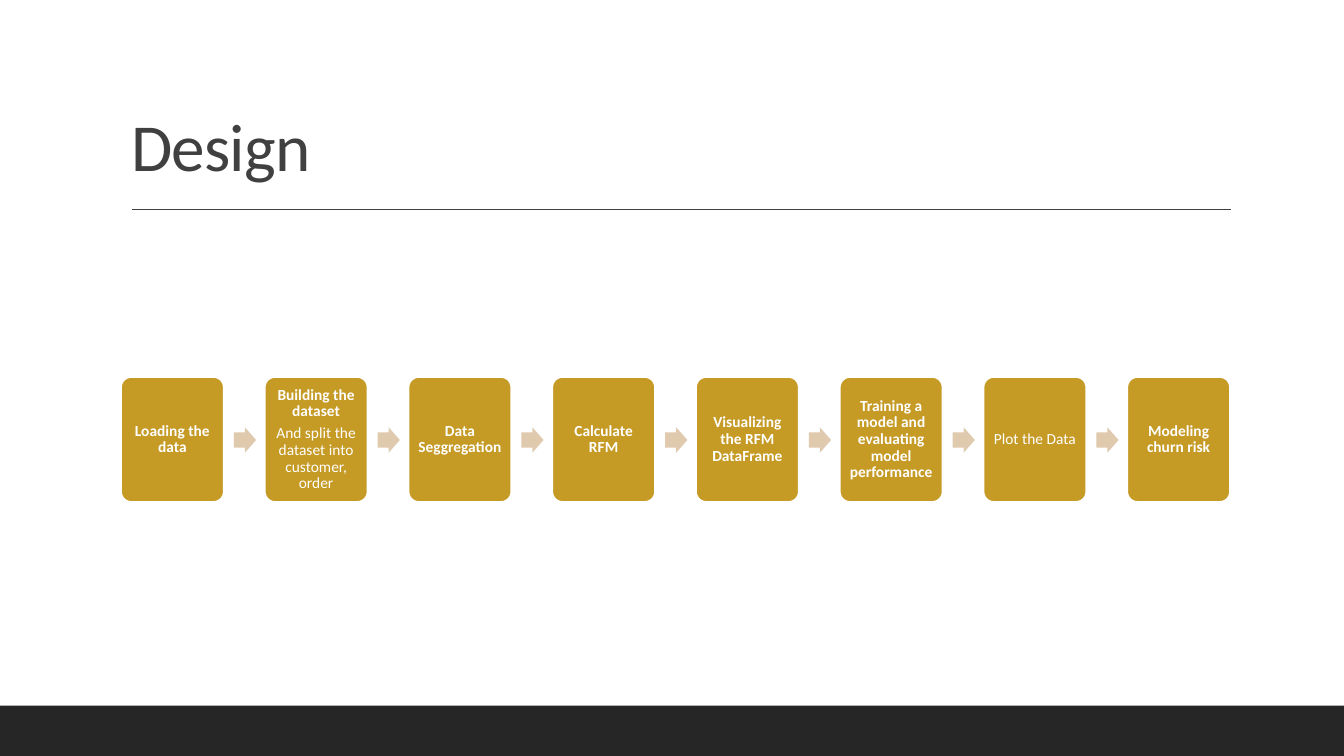
from lxml import etree
from pptx import Presentation
from pptx.dml.color import RGBColor
from pptx.enum.shapes import MSO_CONNECTOR, MSO_SHAPE
from pptx.enum.text import MSO_ANCHOR, MSO_AUTO_SIZE, PP_ALIGN
from pptx.oxml.ns import qn
from pptx.util import Inches, Pt

FONT = "Calibri"
WHITE = RGBColor(0xFF, 0xFF, 0xFF)
GOLD = RGBColor(0xC5, 0x9A, 0x25)
SAND = RGBColor(0xDF, 0xCA, 0xAD)
DARK = RGBColor(0x40, 0x40, 0x40)
FOOTER = RGBColor(0x26, 0x26, 0x26)

SLIDE_WIDTH, SLIDE_HEIGHT = 13.33, 7.5
FIRST_LEFT, LAST_LEFT = 1.2, 11.18
STEP_TOP, STEP_WIDTH, STEP_HEIGHT = 3.74, 1.02, 1.24
ARROW_OFFSET, ARROW_TOP, ARROW_WIDTH, ARROW_HEIGHT = 1.12, 4.24, 0.22, 0.25

# Each step is a list of (text, bold) paragraphs.
STEPS = [
    [("Loading the data", True)],
    [("Building the dataset", True),
     ("And split the dataset into customer, order", False)],
    [("Data Seggregation", True)],
    [("Calculate RFM", True)],
    [("Visualizing the RFM DataFrame", True)],
    [("Training a model and evaluating model performance", True)],
    [("Plot the Data", False)],
    [("Modeling churn risk", True)],
]


def add_filled_shape(slide, kind, left, top, width, height, color):
    shape = slide.shapes.add_shape(
        kind, Inches(left), Inches(top), Inches(width), Inches(height))
    shape.shadow.inherit = False
    shape.fill.solid()
    shape.fill.fore_color.rgb = color
    shape.line.fill.background()
    return shape


def format_title(slide, text):
    title = slide.shapes.title
    title.left, title.top = Inches(1.2), Inches(0.31)
    title.width, title.height = Inches(11), Inches(1.59)
    frame = title.text_frame
    frame.text = text
    frame.auto_size = MSO_AUTO_SIZE.NONE
    frame.vertical_anchor = MSO_ANCHOR.BOTTOM
    heading = frame.paragraphs[0]
    heading.alignment = PP_ALIGN.LEFT
    heading.line_spacing = 0.9
    heading.font.name = FONT
    heading.font.size = Pt(48)
    heading.font.color.rgb = DARK
    # Character spacing, in hundredths of a point
    heading.runs[0].font._element.set("spc", "-50")


def add_title_rule(slide):
    rule = slide.shapes.add_connector(
        MSO_CONNECTOR.STRAIGHT,
        Inches(1.31), Inches(2.08), Inches(12.21), Inches(2.08))
    rule.line.color.rgb = DARK
    rule.line.width = Pt(1)
    etree.SubElement(rule._element.spPr, qn("a:effectLst"))


def add_step(slide, left, paragraphs):
    step = add_filled_shape(slide, MSO_SHAPE.ROUNDED_RECTANGLE,
                            left, STEP_TOP, STEP_WIDTH, STEP_HEIGHT, GOLD)
    step.adjustments[0] = 0.1
    step.line.color.rgb = WHITE
    step.line.width = Pt(1.25)
    frame = step.text_frame
    frame.word_wrap = True
    frame.vertical_anchor = MSO_ANCHOR.MIDDLE
    frame.margin_left = frame.margin_right = Inches(0.05)
    frame.margin_top = frame.margin_bottom = Inches(0.05)
    for index, (text, bold) in enumerate(paragraphs):
        paragraph = frame.add_paragraph() if index else frame.paragraphs[0]
        paragraph.text = text
        paragraph.alignment = PP_ALIGN.CENTER
        paragraph.line_spacing = 0.9
        paragraph.space_after = Pt(3.85)
        paragraph.font.name = FONT
        paragraph.font.size = Pt(11)
        paragraph.font.bold = bold
        paragraph.font.color.rgb = WHITE


def add_step_arrow(slide, left):
    arrow = add_filled_shape(slide, MSO_SHAPE.RIGHT_ARROW, left, ARROW_TOP,
                             ARROW_WIDTH, ARROW_HEIGHT, SAND)
    arrow.adjustments[0] = 0.6
    arrow.adjustments[1] = 0.5


def add_process(slide, steps):
    pitch = (LAST_LEFT - FIRST_LEFT) / (len(steps) - 1)
    for index, paragraphs in enumerate(steps):
        left = FIRST_LEFT + index * pitch
        add_step(slide, left, paragraphs)
        if index < len(steps) - 1:
            add_step_arrow(slide, left + ARROW_OFFSET)


def main():
    presentation = Presentation()
    presentation.slide_width = Inches(SLIDE_WIDTH)
    presentation.slide_height = Inches(SLIDE_HEIGHT)
    slide = presentation.slides.add_slide(presentation.slide_layouts[5])

    add_filled_shape(slide, MSO_SHAPE.RECTANGLE,
                     0, 7, SLIDE_WIDTH, 0.5, FOOTER)
    add_title_rule(slide)
    format_title(slide, "Design")
    add_process(slide, STEPS)
    presentation.save("out.pptx")


if __name__ == "__main__":
    main()
